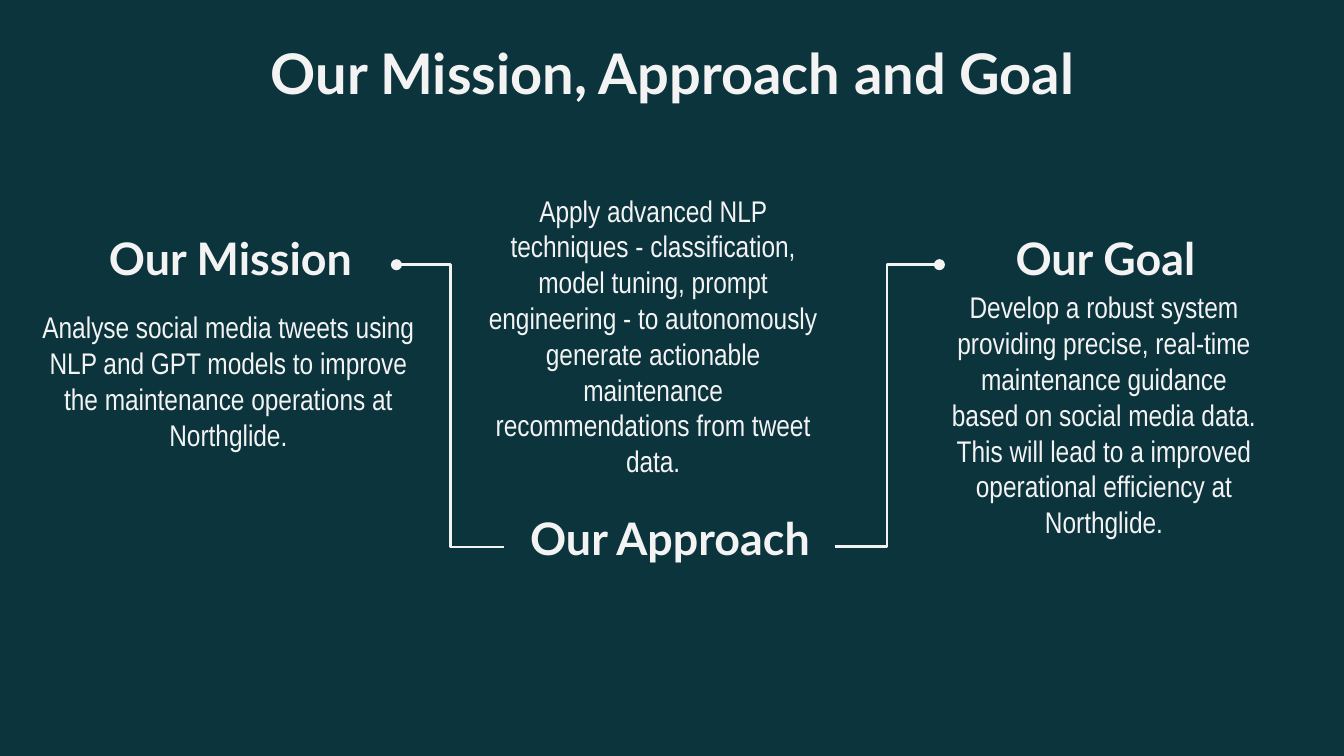
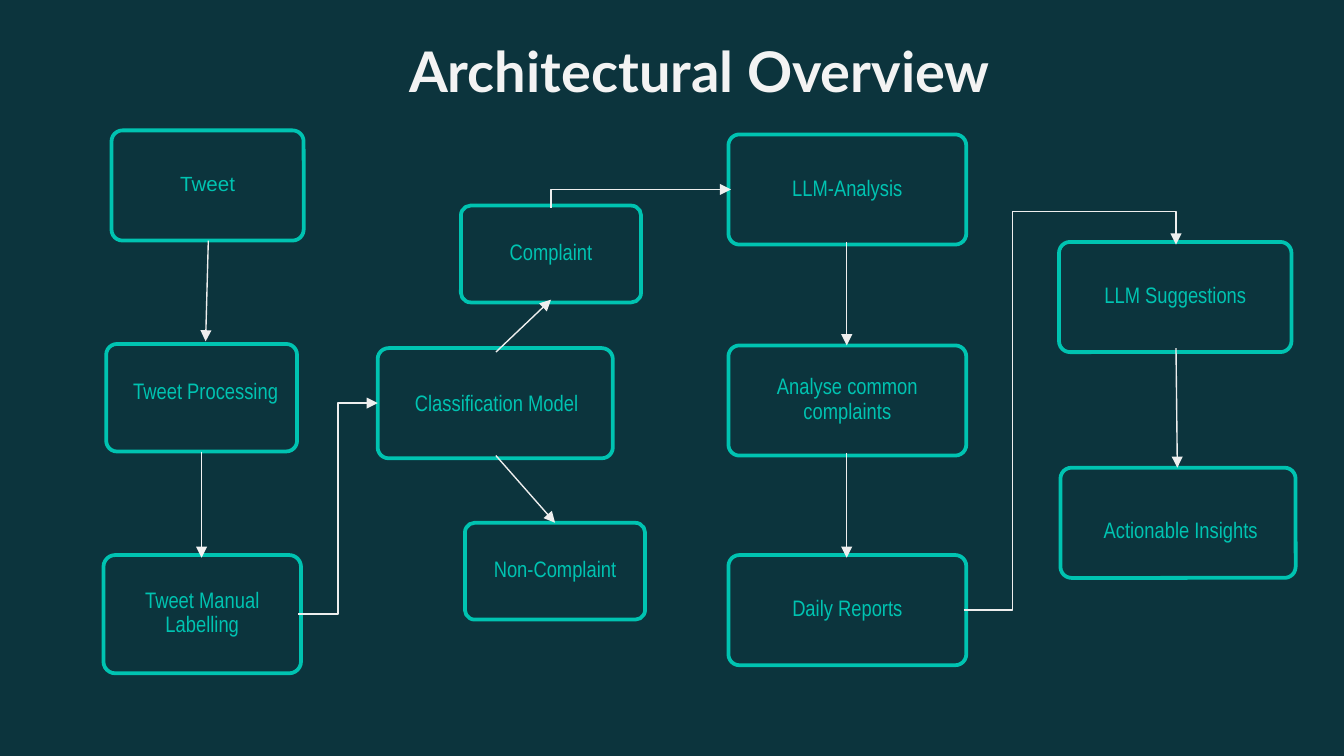
"""Build two slides: the mission, approach and goal, and the architecture flow."""
from typing import Any, NamedTuple

from lxml import etree
from pptx import Presentation
from pptx.dml.color import RGBColor
from pptx.enum.shapes import MSO_CONNECTOR, MSO_SHAPE
from pptx.enum.text import MSO_ANCHOR, MSO_AUTO_SIZE, PP_ALIGN
from pptx.oxml.ns import qn
from pptx.presentation import Presentation as Deck
from pptx.shapes.shapetree import GroupShapes
from pptx.slide import Slide
from pptx.text.text import TextFrame
from pptx.util import Emu, Pt

STRAIGHT, ELBOW = MSO_CONNECTOR.STRAIGHT, MSO_CONNECTOR.ELBOW
ROUNDED = MSO_SHAPE.ROUNDED_RECTANGLE
TOP, MIDDLE, BOTTOM = MSO_ANCHOR.TOP, MSO_ANCHOR.MIDDLE, MSO_ANCHOR.BOTTOM
CENTER = PP_ALIGN.CENTER
NO_FIT = MSO_AUTO_SIZE.NONE

NAVY = RGBColor(0x0C, 0x34, 0x3D)
TEAL = RGBColor(0x00, 0xC3, 0xB1)
PALE = RGBColor(0xF3, 0xF3, 0xF3)
GREY = RGBColor(0xEE, 0xEE, 0xEE)

EMU_PER_PX = 9144
SLIDE_WIDTH = 1000
TITLE_ONLY = 5


class Box(NamedTuple):
    left: int
    top: int
    width: int
    height: int


class TextStyle(NamedTuple):
    font: dict[str, Any]
    color: RGBColor
    anchor: Any = TOP
    inset: int = 10
    paragraph: dict[str, Any] = {}


class Topic(NamedTuple):
    heading: str
    heading_box: Box
    body: str
    body_box: Box


class Step(NamedTuple):
    label: str
    box: Box
    nudge: tuple[int, int] = (0, 0)
    font: dict[str, Any] = {}


class Link(NamedTuple):
    start: tuple[int, int]
    end: tuple[int, int]
    head: str = ""
    tail: str = "triangle"
    preset: str = ""
    bends: tuple[float, ...] = ()
    color: RGBColor = GREY
    weight: float = 0.75


TITLE = TextStyle({"name": "Lato", "size": Pt(30), "bold": True}, PALE)
HEADING = TextStyle({"name": "Lato", "size": Pt(24), "bold": True}, PALE, BOTTOM)
BODY = TextStyle({"name": "Arial Narrow", "size": Pt(16)}, PALE)
LABEL = TextStyle({"name": "Arial Narrow", "size": Pt(12)}, TEAL, MIDDLE, 1,
                  {"line_spacing": 0.9, "space_after": Pt(4)})

TOPICS = [
    Topic("Our Mission", Box(48, 172, 247, 50),
          "Analyse social media tweets using NLP and GPT models to improve "
          "the maintenance operations at Northglide.",
          Box(21, 220, 298, 272)),
    Topic("Our Goal", Box(699, 172, 247, 50),
          "Develop a robust system providing precise, real-time maintenance "
          "guidance based on social media data. This will lead to a improved "
          "operational efficiency at Northglide.",
          Box(698, 205, 247, 217)),
    Topic("Our Approach", Box(375, 383, 247, 47),
          "Apply advanced NLP techniques - classification, model tuning, prompt "
          "engineering - to autonomously generate actionable maintenance "
          "recommendations from tweet data.",
          Box(350, 133, 272, 201)),
]
TOPIC_LINKS = [
    Link((295, 197), (375, 407), "oval", "", "bentConnector3", (0.5,), PALE, 1.5),
    Link((621, 407), (699, 197), "", "oval", "bentConnector3", (0.5,), PALE, 1.5),
]

STEPS = [
    Step("Tweet", Box(83, 97, 143, 82), font={"name": "Arial", "size": Pt(11)}),
    Step("Tweet Processing", Box(79, 256, 142, 80), (3, -4)),
    Step("Tweet Manual Labelling", Box(77, 413, 147, 88)),
    Step("Classification Model", Box(281, 259, 175, 82), (1, 1)),
    Step("Complaint", Box(343, 153, 134, 72)),
    Step("Non-Complaint", Box(346, 389, 134, 72)),
    Step("LLM-Analysis", Box(542, 100, 177, 82)),
    Step("Analyse common complaints", Box(542, 257, 177, 82)),
    Step("Daily Reports", Box(542, 413, 177, 82)),
    Step("LLM Suggestions", Box(788, 180, 173, 82)),
    Step("Actionable Insights", Box(789, 348, 175, 82), (2, 7)),
]
STEP_LINKS = [
    Link((155, 179), (153, 254)),
    Link((150, 336), (150, 415), color=PALE),
    Link((222, 457), (281, 300), preset="bentConnector3", bends=(0.5,)),
    Link((369, 262), (410, 223)),
    Link((369, 339), (413, 389)),
    Link((544, 141), (410, 155), "triangle", "", "bentConnector2"),
    Link((630, 180), (630, 257)),
    Link((630, 337), (630, 415)),
    Link((717, 454), (875, 182), preset="bentConnector4", bends=(0.23, 1.09)),
    Link((875, 259), (876, 348)),
]


def px(*lengths: int) -> list[Emu]:
    """Turn px lengths into EMU."""
    return [Emu(length * EMU_PER_PX) for length in lengths]


def apply(target: Any, values: dict[str, Any]) -> None:
    """Set each format value on the target."""
    for name, value in values.items():
        setattr(target, name, value)


def write(frame: TextFrame, text: str, style: TextStyle) -> None:
    """Fill a text frame with one centred paragraph."""
    inset, = px(style.inset)
    apply(frame, {"text": text, "word_wrap": True, "auto_size": NO_FIT,
                  "vertical_anchor": style.anchor,
                  "margin_left": inset, "margin_right": inset,
                  "margin_top": inset, "margin_bottom": inset})
    paragraph = frame.paragraphs[0]
    apply(paragraph, {"alignment": CENTER} | style.paragraph)
    font = paragraph.runs[0].font
    apply(font, style.font)
    font.color.rgb = style.color


def add_text(shapes: GroupShapes, box: Box, text: str, style: TextStyle) -> None:
    """Add a text box."""
    write(shapes.add_textbox(*px(*box)).text_frame, text, style)


def add_titled_slide(deck: Deck, title: str, box: Box) -> Slide:
    """Add a slide with its title placed and formatted."""
    slide = deck.slides.add_slide(deck.slide_layouts[TITLE_ONLY])
    heading = slide.shapes.title
    apply(heading, dict(zip(("left", "top", "width", "height"), px(*box))))
    write(heading.text_frame, title, TITLE)
    return slide


def add_topic(slide: Slide, topic: Topic) -> None:
    """Add a heading grouped with its body text."""
    shapes = slide.shapes.add_group_shape().shapes
    add_text(shapes, topic.heading_box, topic.heading, HEADING)
    add_text(shapes, topic.body_box, topic.body, BODY)


def add_step(slide: Slide, step: Step) -> None:
    """Add an outlined card grouped with its label."""
    shapes = slide.shapes.add_group_shape().shapes
    card = shapes.add_shape(ROUNDED, *px(*step.box))
    card.adjustments[0] = 0.1
    card.shadow.inherit = False
    card.fill.solid()
    card.fill.fore_color.rgb = NAVY
    card.line.color.rgb = TEAL
    card.line.width = Pt(2)
    (left, top, width, height), (dx, dy) = step.box, step.nudge
    label_box = Box(left + 2 + dx, top + 2 + dy, width - 4, height - 5)
    add_text(shapes, label_box, step.label, LABEL._replace(font=LABEL.font | step.font))


def add_link(slide: Slide, link: Link) -> None:
    """Add a straight or bent connector with its end marks."""
    kind = ELBOW if link.preset else STRAIGHT
    connector = slide.shapes.add_connector(kind, *px(*link.start, *link.end))
    connector.line.color.rgb = link.color
    connector.line.width = Pt(link.weight)
    properties = connector.element.spPr
    outline = properties.find(qn("a:ln"))
    for tag, mark in (("a:headEnd", link.head), ("a:tailEnd", link.tail)):
        if mark:
            etree.SubElement(outline, qn(tag), type=mark)
    etree.SubElement(properties, qn("a:effectLst"))
    if link.preset:
        geometry = properties.find(qn("a:prstGeom"))
        geometry.set("prst", link.preset)
        guides = geometry.find(qn("a:avLst"))
        for number, bend in enumerate(link.bends, 1):
            etree.SubElement(guides, qn("a:gd"), name=f"adj{number}",
                             fmla=f"val {round(bend * 100000)}")


def main() -> None:
    """Build and save the deck."""
    deck = Presentation()
    deck.slide_width, = px(SLIDE_WIDTH)
    deck.slide_height = Emu(deck.slide_width * 9 // 16)
    backdrop = deck.slide_master.background.fill
    backdrop.solid()
    backdrop.fore_color.rgb = NAVY

    mission = add_titled_slide(deck, "Our Mission, Approach and Goal", Box(79, 19, 843, 63))
    for topic in TOPICS:
        add_topic(mission, topic)
    for link in TOPIC_LINKS:
        add_link(mission, link)

    architecture = add_titled_slide(deck, "Architectural Overview", Box(79, 17, 883, 150))
    for step in STEPS:
        add_step(architecture, step)
    for link in STEP_LINKS:
        add_link(architecture, link)

    deck.save("out.pptx")


if __name__ == "__main__":
    main()
